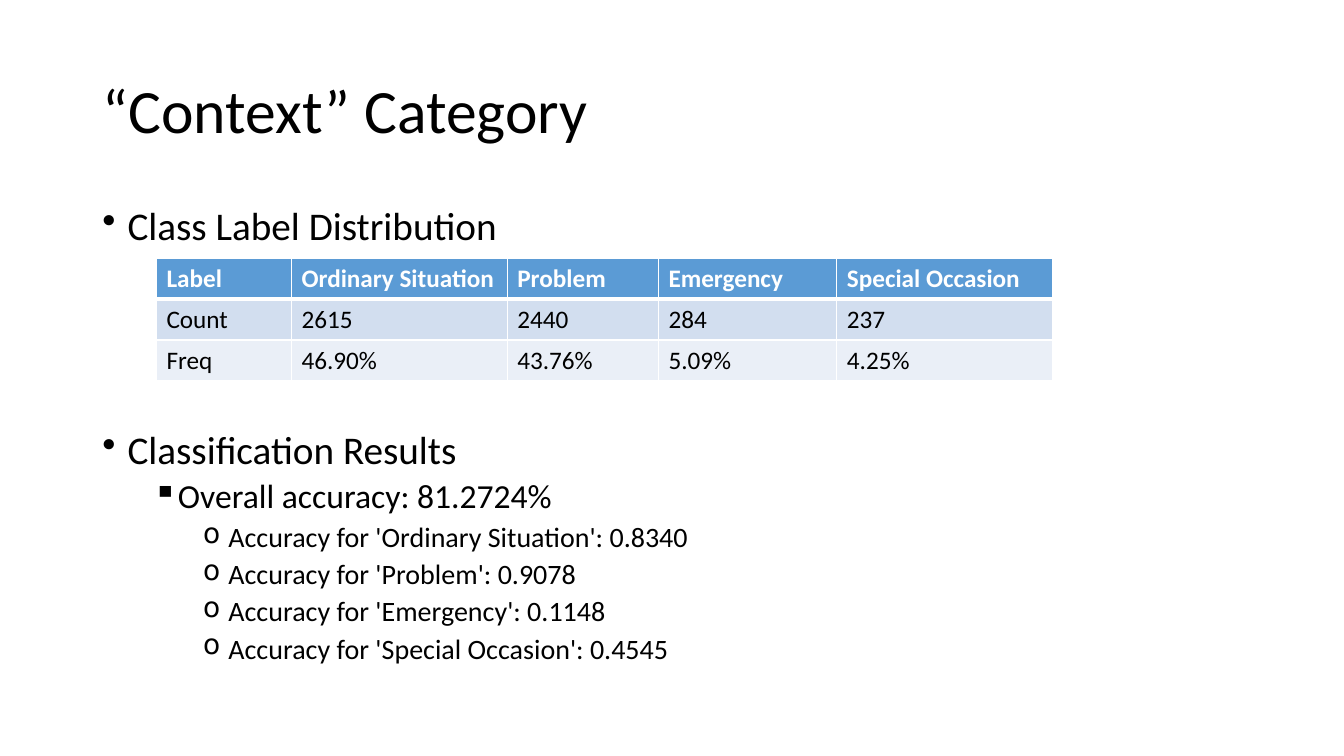
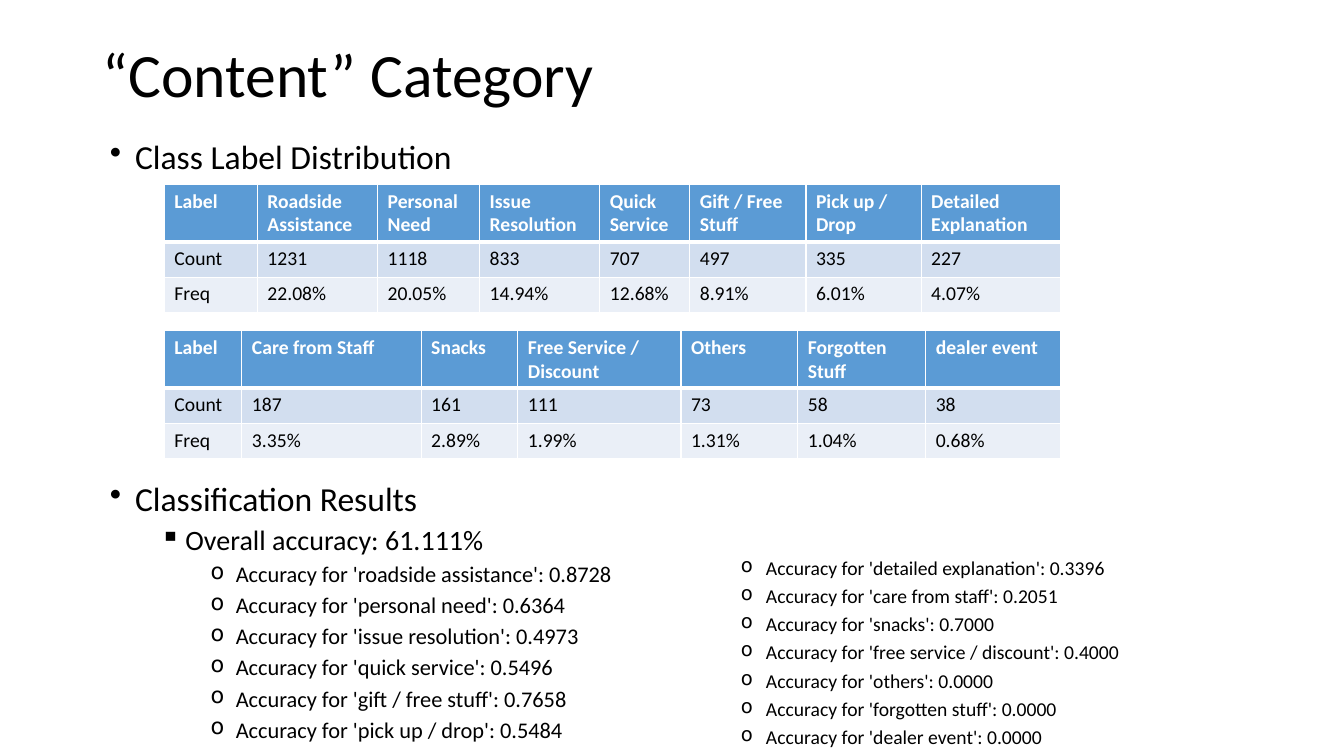
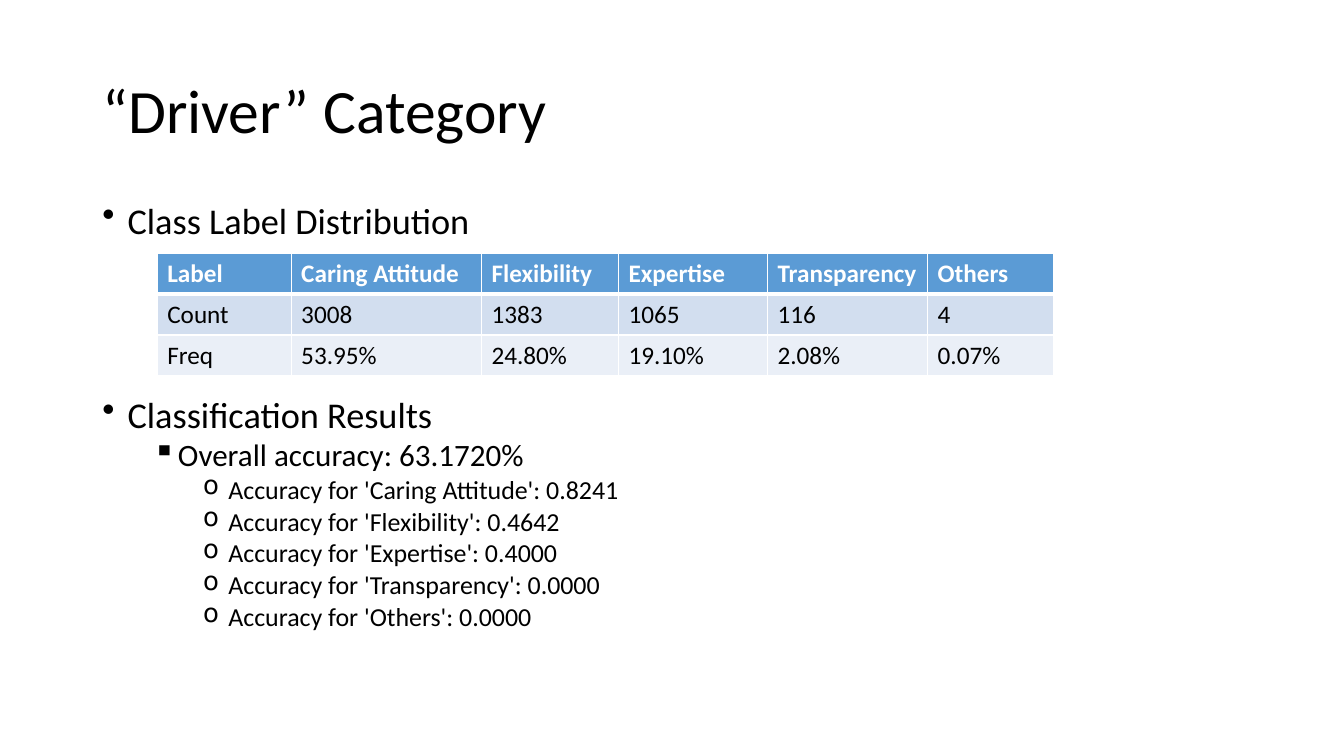
from collections import namedtuple

from lxml.etree import SubElement
from pptx import Presentation
from pptx.dml.color import RGBColor
from pptx.enum.text import MSO_ANCHOR, MSO_AUTO_SIZE, PP_ALIGN
from pptx.oxml.ns import qn
from pptx.util import Inches, Pt

SLIDE_WIDTH, SLIDE_HEIGHT = Inches(13.33), Inches(7.5)
FONT = "Calibri"
BLACK = RGBColor(0x00, 0x00, 0x00)
WHITE = RGBColor(0xFF, 0xFF, 0xFF)
HEADER_BLUE = RGBColor(0x5B, 0x9B, 0xD5)
ROW_FILLS = [HEADER_BLUE, RGBColor(0xD2, 0xDE, 0xEF), RGBColor(0xEA, 0xEF, 0xF7)]
BULLETS = "•▪o"
SPACE_BEFORE = [10, 5, 5]
TOTAL_COUNT = 5576

# Boxes are in percent of the slide's width and height.
Box = namedtuple("Box", "left top width height")
Label = namedtuple("Label", "name count accuracy column")
Item = namedtuple("Item", "level text space_before", defaults=[None])

TITLE_BOX = Box(6.88, 5.32, 86.25, 19.33)
BODY_BOX = Box(6.88, 26.62, 86.25, 63.45)
TABLE_WIDTH = 66.69

CONTEXT = [
    Label("Ordinary Situation", 2615, "0.8340", 2.14),
    Label("Problem", 2440, "0.9078", 1.5),
    Label("Emergency", 284, "0.1148", 1.77),
    Label("Special Occasion", 237, "0.4545", 2.14),
]
CONTENT = [
    Label("Roadside Assistance", 1231, "0.8728", 1.19),
    Label("Personal Need", 1118, "0.6364", 1.01),
    Label("Issue Resolution", 833, "0.4973", 1.19),
    Label("Quick Service", 707, "0.5496", 0.89),
    Label("Gift / Free Stuff", 497, "0.7658", 1.15),
    Label("Pick up / Drop", 335, "0.5484", 1.14),
    Label("Detailed Explanation", 227, "0.3396", 1.38),
    Label("Care from Staff", 187, "0.2051", 1.78),
    Label("Snacks", 161, "0.7000", 0.96),
    Label("Free Service / Discount", 111, "0.4000", 1.62),
    Label("Others", 73, "0.0000", 1.16),
    Label("Forgotten Stuff", 58, "0.0000", 1.27),
    Label("dealer event", 38, "0.0000", 1.34),
]
DRIVER = [
    Label("Caring Attitude", 3008, "0.8241", 1.89),
    Label("Flexibility", 1383, "0.4642", 1.36),
    Label("Expertise", 1065, "0.4000", 1.48),
    Label("Transparency", 116, "0.0000", 1.59),
    Label("Others", 4, "0.0000", 1.25),
]
DISTRIBUTION = Item(0, "Class Label Distribution")


def place(box):
    """Turn a percent box into left, top, width and height in EMU."""
    return (int(SLIDE_WIDTH * box.left / 100), int(SLIDE_HEIGHT * box.top / 100),
            int(SLIDE_WIDTH * box.width / 100), int(SLIDE_HEIGHT * box.height / 100))


def format_runs(paragraph, size, color=BLACK, bold=False):
    for run in paragraph.runs:
        run.font.name = FONT
        run.font.size = Pt(size)
        run.font.color.rgb = color
        run.font.bold = bold


def add_titled_slide(presentation, title, box=TITLE_BOX):
    slide = presentation.slides.add_slide(presentation.slide_layouts[5])
    shape = slide.shapes.title
    shape.left, shape.top, shape.width, shape.height = place(box)
    text_frame = shape.text_frame
    text_frame.text = title
    text_frame.auto_size = MSO_AUTO_SIZE.NONE
    text_frame.vertical_anchor = MSO_ANCHOR.MIDDLE
    paragraph = text_frame.paragraphs[0]
    paragraph.alignment = PP_ALIGN.LEFT
    paragraph.line_spacing = 0.9
    format_runs(paragraph, 44)
    return slide


def add_outline(slide, box, items, sizes, line_spacing=0.9):
    """Add a bulleted list; sizes holds one text size for each level."""
    text_frame = slide.shapes.add_textbox(*place(box)).text_frame
    text_frame.word_wrap = True
    text_frame.text = "\n".join(item.text for item in items)
    for paragraph, item in zip(text_frame.paragraphs, items):
        level = item.level
        paragraph.level = level
        paragraph.line_spacing = line_spacing
        paragraph.space_before = Pt(item.space_before or SPACE_BEFORE[level])
        properties = paragraph._p.get_or_add_pPr()
        properties.set("marL", str(Inches(0.25 + 0.5 * level)))
        properties.set("indent", str(Inches(-0.25)))
        SubElement(properties, qn("a:buChar")).set("char", BULLETS[level])
        format_runs(paragraph, sizes[level])


def set_borders(cell, top, bottom):
    """Draw white cell borders; top and bottom are widths in points."""
    properties = cell._tc.get_or_add_tcPr()
    edges = [("a:lnL", 1), ("a:lnR", 1), ("a:lnT", top), ("a:lnB", bottom)]
    for index, (tag, width) in enumerate(edges):
        line = SubElement(properties, qn(tag))
        line.set("w", str(Pt(width)))
        fill = SubElement(line, qn("a:solidFill"))
        SubElement(fill, qn("a:srgbClr")).set("val", str(WHITE))
        properties.insert(index, line)


def add_distribution_table(slide, box, labels, label_column, size, header_share=1 / 3):
    rows = [
        ["Label"] + [label.name for label in labels],
        ["Count"] + [str(label.count) for label in labels],
        ["Freq"] + [f"{label.count / TOTAL_COUNT:.2%}" for label in labels],
    ]
    left, top, width, height = place(box)
    table = slide.shapes.add_table(len(rows), len(rows[0]), left, top, width, height).table
    weights = [label_column] + [label.column for label in labels]
    for column, weight in zip(table.columns, weights):
        column.width = int(width * weight / sum(weights))
    row_shares = [header_share] + [(1 - header_share) / 2] * 2
    for row_index, texts in enumerate(rows):
        table.rows[row_index].height = int(height * row_shares[row_index])
        is_header = row_index == 0
        for cell, text in zip(table.rows[row_index].cells, texts):
            cell.text = text
            cell.fill.solid()
            cell.fill.fore_color.rgb = ROW_FILLS[row_index]
            set_borders(cell, 3 if row_index == 1 else 1, 3 if is_header else 1)
            format_runs(cell.text_frame.paragraphs[0], size,
                        WHITE if is_header else BLACK, is_header)


def accuracy_items(labels):
    return [Item(2, f"Accuracy for '{label.name}': {label.accuracy}") for label in labels]


def result_items(overall, labels, space_before=None):
    return [Item(0, "Classification Results", space_before),
            Item(1, f"Overall accuracy: {overall}")] + accuracy_items(labels)


def add_single_table_slide(presentation, title, labels, overall, table_corner,
                           label_column, sizes, line_spacing, table_gap):
    """Add a slide whose outline leaves table_gap points for one table."""
    slide = add_titled_slide(presentation, title)
    items = [DISTRIBUTION] + result_items(overall, labels, table_gap)
    add_outline(slide, BODY_BOX, items, sizes, line_spacing)
    add_distribution_table(slide, Box(*table_corner, TABLE_WIDTH, 16.27),
                           labels, label_column, 18)


def add_content_slide(presentation):
    """Add the slide with two tables and two columns of results."""
    slide = add_titled_slide(presentation, "“Content” Category",
                             TITLE_BOX._replace(top=0.53))
    sizes = [24, 20, 16]
    add_outline(slide, Box(7.43, 17.87, 86.25, 6.5), [DISTRIBUTION], sizes)
    for top, labels, label_column in [(24.4, CONTENT[:7], 0.92), (43.73, CONTENT[7:], 0.77)]:
        add_distribution_table(slide, Box(12.23, top, TABLE_WIDTH, 16.93),
                               labels, label_column, 14, 0.45)
    lowercase = [label._replace(name=label.name.lower()) for label in CONTENT]
    add_outline(slide, Box(7.43, 63.2, 39.75, 36.8),
                result_items("61.111%", lowercase[:6]), sizes)
    add_outline(slide, Box(46.88, 73.2, 52, 26.8),
                accuracy_items(lowercase[6:]), [14] * 3)


def main():
    presentation = Presentation()
    presentation.slide_width, presentation.slide_height = SLIDE_WIDTH, SLIDE_HEIGHT
    add_single_table_slide(presentation, "“Context” Category", CONTEXT, "81.2724%",
                           (11.64, 34.13), 1.34, [28, 24, 20], 0.9, 130)
    add_content_slide(presentation)
    add_single_table_slide(presentation, "“Driver” Category", DRIVER, "63.1720%",
                           (11.7, 33.47), 1.33, [25.9, 22.2, 18.5], 0.8, 114)
    presentation.save("out.pptx")


if __name__ == "__main__":
    main()
